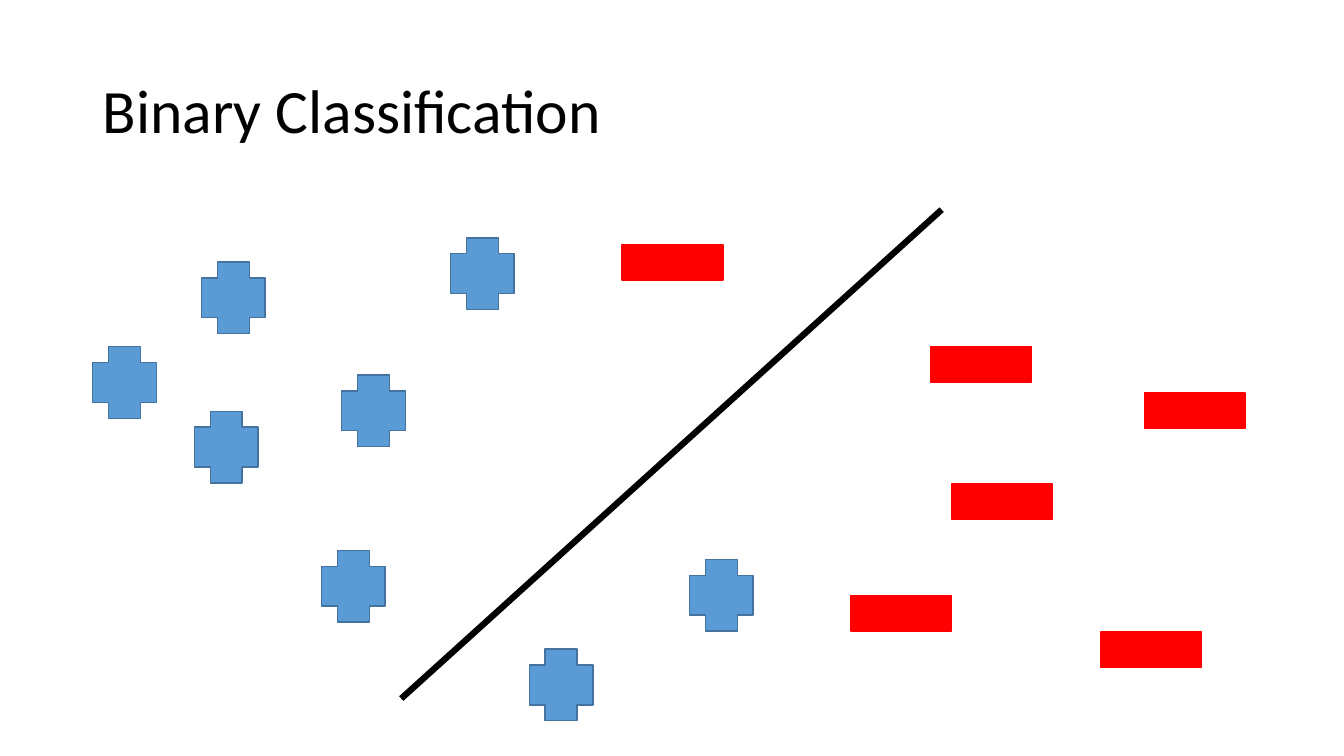
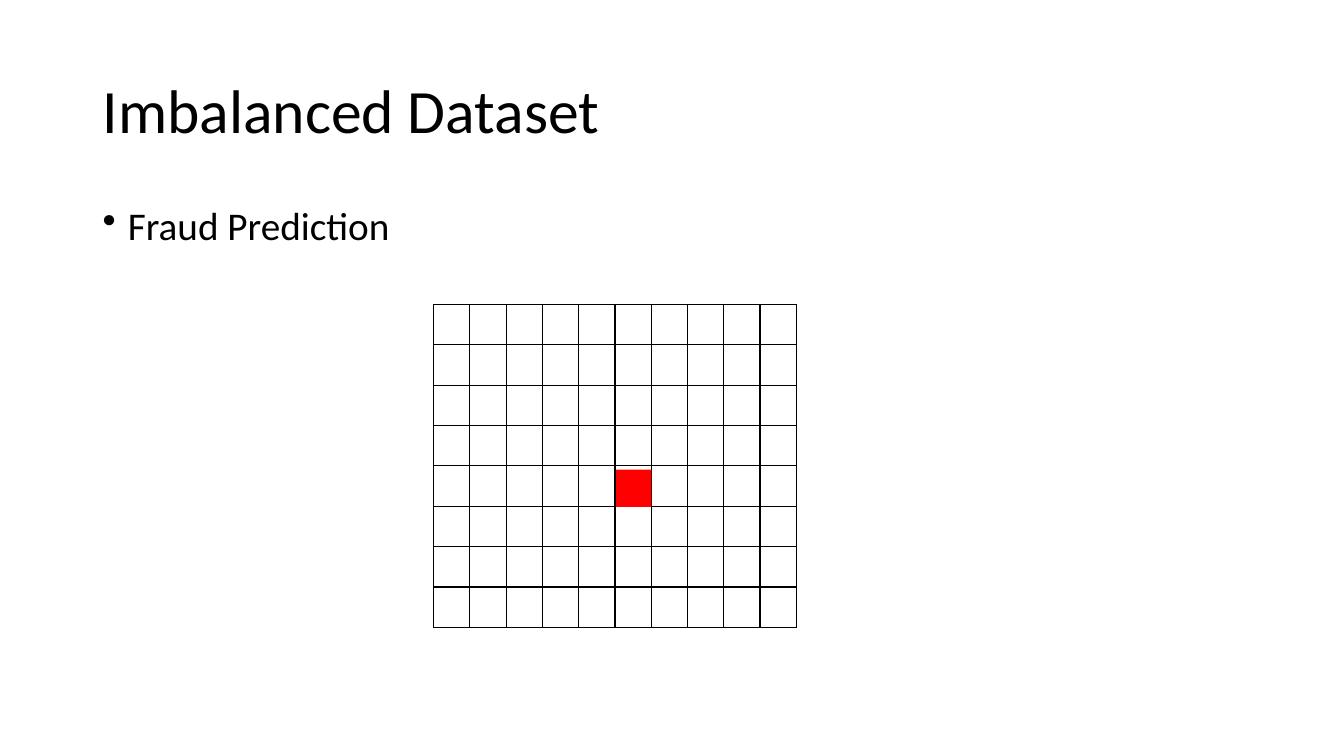
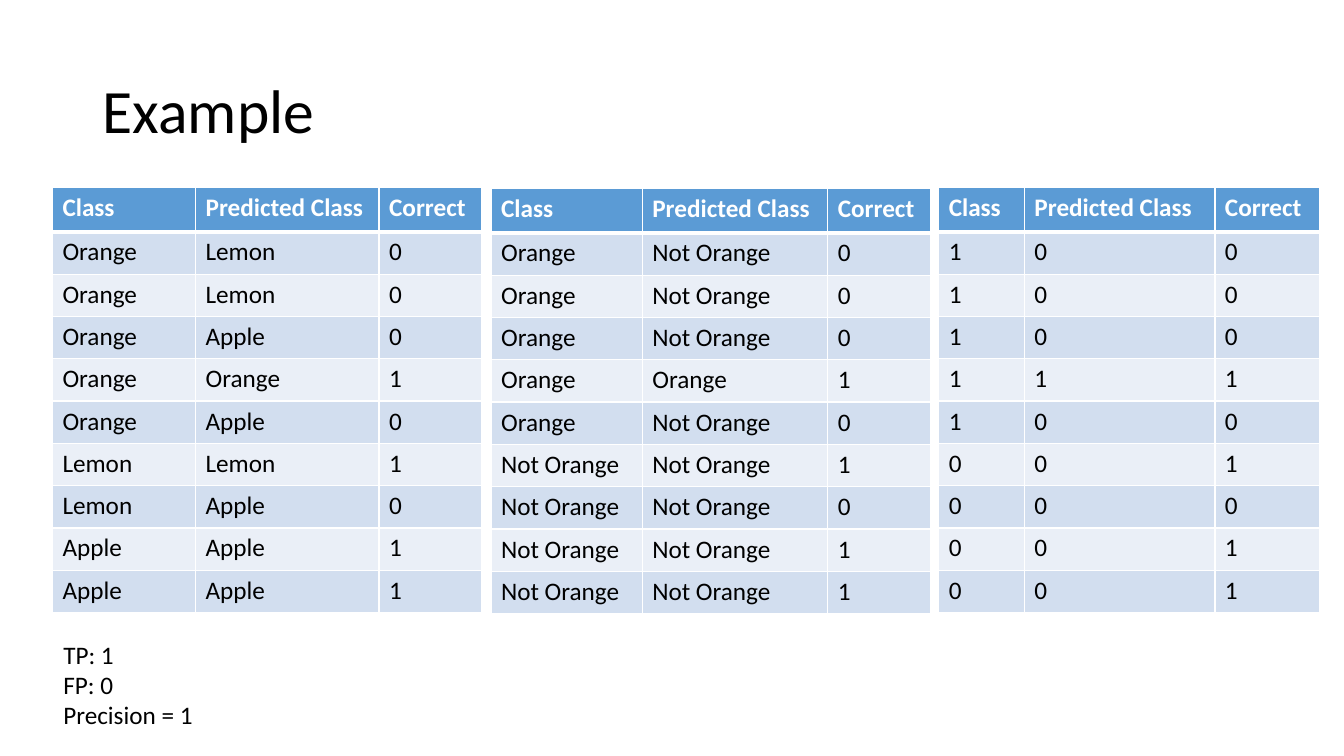
from lxml.etree import SubElement
from pptx import Presentation
from pptx.dml.color import RGBColor
from pptx.enum.shapes import MSO_CONNECTOR, MSO_SHAPE
from pptx.enum.text import MSO_ANCHOR
from pptx.oxml.ns import qn
from pptx.util import Inches, Pt

WIDE, HIGH = 13.33, 7.5
FONT = "Calibri"
BLACK, WHITE, RED = "000000", "FFFFFF", "FF0000"
BLUE, EDGE = "5B9BD5", "43739E"
BANDS = ("D2DEEF", "EAEFF7")
LEFT, SPAN = 0.92, 11.5

# Slide 1: left and top of each mark, ends of the dividing line
PLUS_SIZE, MINUS_SIZE = (0.63, 0.71), (1, 0.35)
PLUSES = [(2, 2.6), (6.84, 5.55), (3.19, 5.46), (3.39, 3.72),
          (1.93, 4.08), (0.92, 3.44), (4.47, 2.36), (5.25, 6.44)]
MINUSES = [(8.44, 5.91), (9.23, 3.44), (11.35, 3.9),
           (9.44, 4.8), (6.17, 2.43), (10.92, 6.27)]
DIVIDE = (3.98, 6.93, 9.34, 2.08)

# Slide 2: a grid of cases with one fraud among them
TOPIC = "Fraud Prediction"
GRID_AT, GRID_COLS, GRID_ROWS = (4.3, 3.02), 10, 8
GRID_WIDE, GRID_HIGH = 0.36, 0.4
FRAUD = (6.11, 4.66, 0.35, 0.37)

# Slide 3: actual and predicted fruit, shown in three codings
HEAD = ("Class", "Predicted Class", "Correct")
FRUIT = [("Orange", "Lemon"), ("Orange", "Lemon"), ("Orange", "Apple"),
         ("Orange", "Orange"), ("Orange", "Apple"), ("Lemon", "Lemon"),
         ("Lemon", "Apple"), ("Apple", "Apple"), ("Apple", "Apple")]
CODINGS = [
    ((0.52, 1.86), (1.42, 1.82, 1.02), lambda name: name),
    ((4.87, 1.87), (1.5, 1.84, 1.02),
     lambda name: name if name == "Orange" else "Not Orange"),
    ((9.31, 1.86), (0.85, 1.89, 1.04),
     lambda name: str(int(name == "Orange"))),
]
HEAD_HIGH, ROW_HIGH = 0.44, 0.42
SCORES = ("TP: 1", "FP: 0", "Precision = 1")


def color(code):
    """Turn a hex string into a colour."""
    return RGBColor.from_string(code)


def style(para, size, code=BLACK, bold=False):
    """Set the font of a paragraph."""
    font = para.font
    font.name, font.size, font.bold = FONT, Pt(size), bold
    font.color.rgb = color(code)


def add_text(slide, box, lines, size, gap=1.0):
    """Add a wrapped text box and return its frame."""
    frame = slide.shapes.add_textbox(*map(Inches, box)).text_frame
    frame.word_wrap = True
    frame.text = "\n".join(lines)
    for para in frame.paragraphs:
        para.line_spacing = gap
        style(para, size)
    return frame


def add_page(deck, title):
    """Add a blank slide with its title."""
    slide = deck.slides.add_slide(deck.slide_layouts[6])
    frame = add_text(slide, (LEFT, 0.4, SPAN, 1.45), [title], 44, 0.9)
    frame.vertical_anchor = MSO_ANCHOR.MIDDLE
    return slide


def add_mark(slide, kind, box, fill, edge=None):
    """Add a filled shape, outlined if an edge colour is given."""
    mark = slide.shapes.add_shape(kind, *map(Inches, box))
    mark.shadow.inherit = False
    mark.fill.solid()
    mark.fill.fore_color.rgb = color(fill)
    if edge:
        mark.line.color.rgb = color(edge)
        mark.line.width = Pt(1)
    else:
        mark.line.fill.background()


def add_line(slide, ends, code, width):
    """Add a straight line without a shadow."""
    line = slide.shapes.add_connector(
        MSO_CONNECTOR.STRAIGHT, *map(Inches, ends))
    line.line.color.rgb = color(code)
    line.line.width = Pt(width)
    SubElement(line._element.spPr, qn("a:effectLst"))


def add_edges(cell, code, widths):
    """Draw the left, right, top and bottom borders of a cell."""
    props = cell._tc.get_or_add_tcPr()
    for side, width in zip("LRTB", widths):
        edge = SubElement(props, qn("a:ln" + side), w=str(Pt(width)))
        fill = SubElement(edge, qn("a:solidFill"))
        SubElement(fill, qn("a:srgbClr"), val=code)


def add_table(slide, spot, cols, rows):
    """Add a table without banding, sized by its columns and rows."""
    size = (sum(cols), sum(rows))
    table = slide.shapes.add_table(
        len(rows), len(cols), *map(Inches, spot + size)).table
    table.first_row = table.horz_banding = False
    for col, wide in zip(table.columns, cols):
        col.width = Inches(wide)
    for row, high in zip(table.rows, rows):
        row.height = Inches(high)
    return table


def fill_cell(cell, text, row):
    """Write one cell of a table with a header and banded rows."""
    top = row == 0
    below = 3 if top else 1
    above = 3 if row == 1 else 1
    add_edges(cell, WHITE, (1, 1, above, below))
    cell.fill.solid()
    cell.fill.fore_color.rgb = color(BLUE if top else BANDS[(row - 1) % 2])
    cell.text = text
    style(cell.text_frame.paragraphs[0], 18, WHITE if top else BLACK, top)


def draw_classes(deck):
    """Build the slide of two classes and a dividing line."""
    slide = add_page(deck, "Binary Classification")
    for spot in PLUSES:
        add_mark(slide, MSO_SHAPE.CROSS, spot + PLUS_SIZE, BLUE, EDGE)
    for spot in MINUSES:
        add_mark(slide, MSO_SHAPE.RECTANGLE, spot + MINUS_SIZE, RED, RED)
    add_line(slide, DIVIDE, BLACK, 4.5)


def draw_fraud(deck):
    """Build the slide of one fraud in a grid of cases."""
    slide = add_page(deck, "Imbalanced Dataset")
    frame = add_text(slide, (LEFT, 2, SPAN, 4.76), [TOPIC], 28, 0.9)
    para = frame.paragraphs[0]
    para.space_before = Pt(10)
    props = para._p.get_or_add_pPr()
    props.set("marL", str(Inches(0.25)))
    props.set("indent", str(-Inches(0.25)))
    bullet = props.makeelement(qn("a:buChar"), {"char": "\u2022"})
    props.find(qn("a:defRPr")).addprevious(bullet)
    table = add_table(slide, GRID_AT, [GRID_WIDE] * GRID_COLS,
                      [GRID_HIGH] * GRID_ROWS)
    for cell in table.iter_cells():
        add_edges(cell, BLACK, (1, 1, 1, 1))
        cell.fill.background()
        style(cell.text_frame.paragraphs[0], 18)
    add_mark(slide, MSO_SHAPE.RECTANGLE, FRAUD, RED)


def draw_example(deck):
    """Build the slide of three codings and their scores."""
    slide = add_page(deck, "Example")
    highs = [HEAD_HIGH] + [ROW_HIGH] * len(FRUIT)
    for spot, cols, code in CODINGS:
        table = add_table(slide, spot, cols, highs)
        lines = [HEAD] + [(code(real), code(guess), str(int(real == guess)))
                          for real, guess in FRUIT]
        for row, line in enumerate(lines):
            for col, text in enumerate(line):
                fill_cell(table.cell(row, col), text, row)
    add_text(slide, (0.53, 6.29, 3, 1.31), SCORES, 18)


def main():
    """Build and save the deck."""
    deck = Presentation()
    deck.slide_width, deck.slide_height = Inches(WIDE), Inches(HIGH)
    for draw in (draw_classes, draw_fraud, draw_example):
        draw(deck)
    deck.save("out.pptx")


main()
